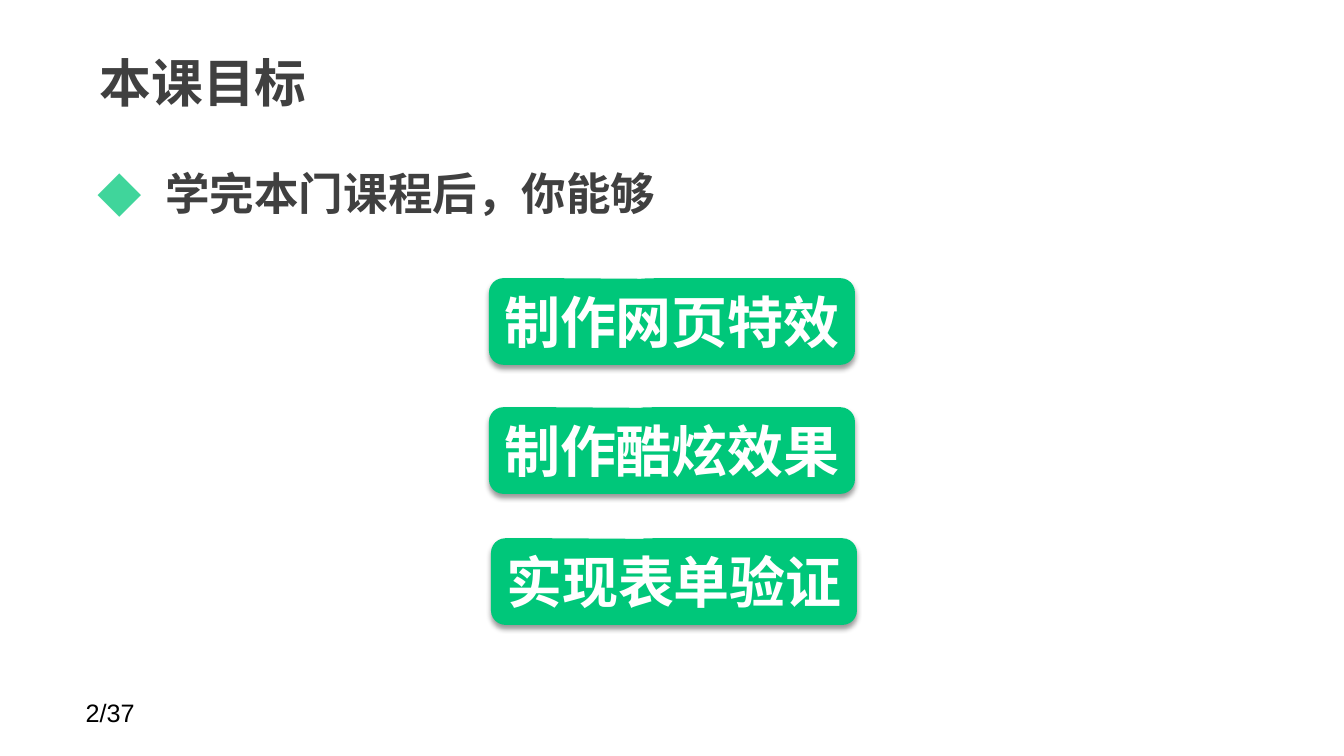
from dataclasses import dataclass

from lxml.etree import SubElement
from pptx import Presentation
from pptx.dml.color import RGBColor
from pptx.enum.shapes import MSO_SHAPE
from pptx.enum.text import MSO_ANCHOR, PP_ALIGN
from pptx.oxml.ns import qn
from pptx.slide import Slide
from pptx.text.text import TextFrame, _Paragraph
from pptx.util import Inches, Pt


@dataclass(frozen=True)
class Theme:
    green: str = "00C77A"
    bullet: str = "40D59B"
    dark: str = "404040"
    black: str = "000000"
    white: str = "FFFFFF"
    latin: str = "Arial"
    cjk: str = "Noto Sans CJK SC"
    title_size: float = 37
    body_size: float = 31.8
    goal_size: float = 40
    page_size: float = 18


@dataclass(frozen=True)
class Goal:
    text: str
    left: float
    top: float


THEME = Theme()
GOAL_WIDTH, GOAL_HEIGHT = 3.63, 0.86
GOALS = [
    Goal("制作网页特效", 4.85, 2.76),
    Goal("制作酷炫效果", 4.85, 4.04),
    Goal("实现表单验证", 4.87, 5.34),
]


def write_text(tf: TextFrame, text: str, *, size: float, color: str,
               font: str = THEME.cjk, bold: bool = True,
               align: PP_ALIGN = PP_ALIGN.LEFT,
               anchor: MSO_ANCHOR = MSO_ANCHOR.TOP,
               wrap: bool = True) -> _Paragraph:
    tf.word_wrap = wrap
    tf.vertical_anchor = anchor
    p = tf.paragraphs[0]
    p.alignment = align
    r = p.add_run()
    r.text = text
    r.font.size = Pt(size)
    r.font.bold = bold
    r.font.name = font
    r.font.color.rgb = RGBColor.from_string(color)
    SubElement(r.font._element, qn("a:ea"), typeface=THEME.cjk)
    return p


def add_text_box(s: Slide, left: float, top: float, width: float, height: float,
                 inset_x: float = 0.13, inset_y: float = 0.06) -> TextFrame:
    tf = s.shapes.add_textbox(Inches(left), Inches(top), Inches(width), Inches(height)).text_frame
    tf.margin_left = tf.margin_right = Inches(inset_x)
    tf.margin_top = tf.margin_bottom = Inches(inset_y)
    return tf


def add_bullet(p: _Paragraph, char: str, color: str, indent: float) -> None:
    pPr = p._p.get_or_add_pPr()
    pPr.set("marL", str(Inches(indent)))
    pPr.set("indent", str(-Inches(indent)))
    SubElement(SubElement(pPr, qn("a:buClr")), qn("a:srgbClr"), val=color)
    SubElement(pPr, qn("a:buFont"), typeface=THEME.cjk)
    SubElement(pPr, qn("a:buChar"), char=char)


def add_goal(s: Slide, goal: Goal) -> None:
    sp = s.shapes.add_shape(MSO_SHAPE.ROUNDED_RECTANGULAR_CALLOUT, Inches(goal.left),
                            Inches(goal.top), Inches(GOAL_WIDTH), Inches(GOAL_HEIGHT))
    for i, value in enumerate((-0.001, -0.49, 0.167)):
        sp.adjustments[i] = value
    sp.fill.solid()
    sp.fill.fore_color.rgb = RGBColor.from_string(THEME.green)
    sp.line.fill.background()
    sp.shadow.inherit = False
    effects = sp._element.spPr.find(qn("a:effectLst"))
    shadow = SubElement(effects, qn("a:outerShdw"), blurRad=str(Pt(4)), dist=str(Pt(3)),
                        dir="5400000", algn="t", rotWithShape="0")
    shade = SubElement(shadow, qn("a:srgbClr"), val=THEME.black)
    SubElement(shade, qn("a:alpha"), val="40000")
    write_text(sp.text_frame, goal.text, size=THEME.goal_size, color=THEME.white,
               font=THEME.latin, align=PP_ALIGN.CENTER, anchor=MSO_ANCHOR.MIDDLE, wrap=False)


def main() -> None:
    prs = Presentation()
    prs.slide_width, prs.slide_height = Inches(13.33), Inches(7.5)
    s = prs.slides.add_slide(prs.slide_layouts[6])
    write_text(add_text_box(s, 0.75, 6.87, 2.33, 0.4, 0.1, 0.05), "2/37",
               size=THEME.page_size, color=THEME.black, font=THEME.latin, bold=False)
    p = write_text(add_text_box(s, 0.84, 1.43, 11.69, 5.27), "学完本门课程后，你能够",
                   size=THEME.body_size, color=THEME.dark)
    p.line_spacing = 1.3
    add_bullet(p, "◆", THEME.bullet, 0.67)
    write_text(add_text_box(s, 0.86, 0.3, 10.41, 1.03), "本课目标",
               size=THEME.title_size, color=THEME.dark, anchor=MSO_ANCHOR.MIDDLE)
    for goal in GOALS:
        add_goal(s, goal)
    prs.save("out.pptx")


if __name__ == "__main__":
    main()
